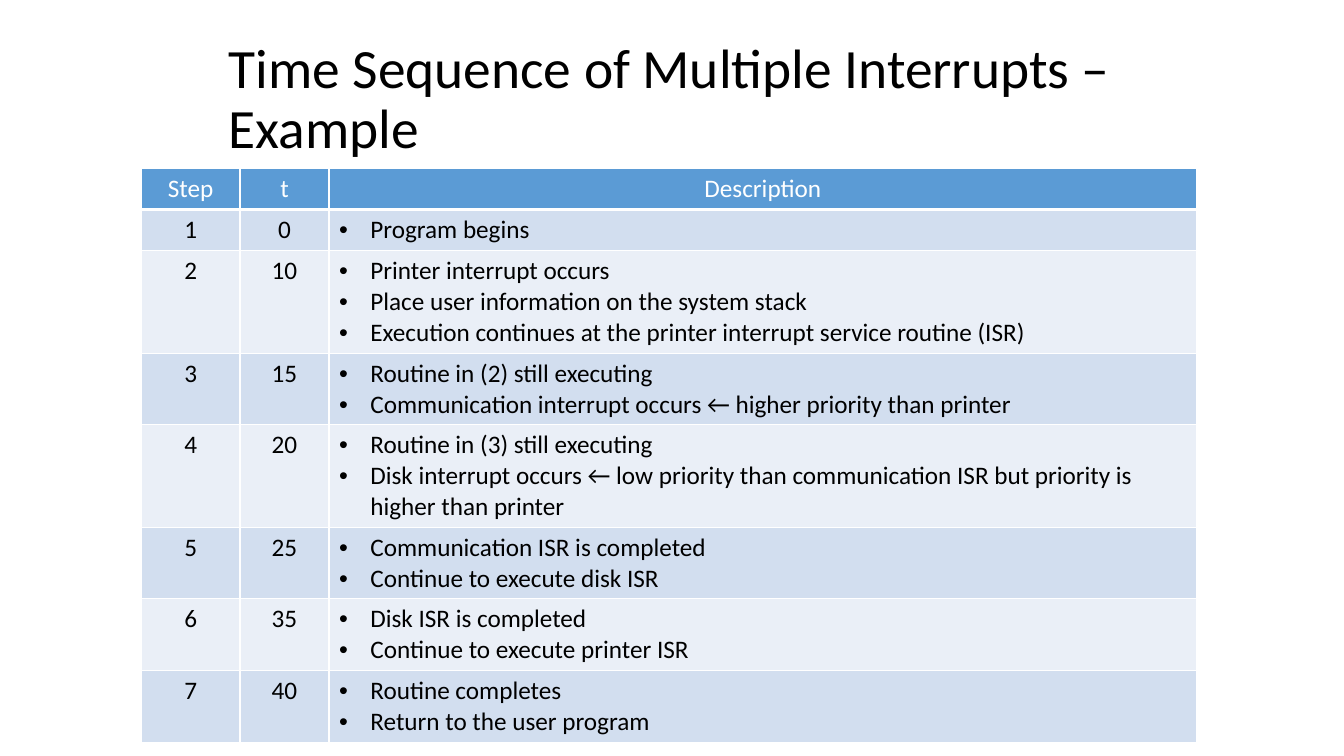
from lxml import etree
from pptx import Presentation
from pptx.dml.color import RGBColor
from pptx.enum.text import MSO_ANCHOR, MSO_AUTO_SIZE, PP_ALIGN
from pptx.oxml.ns import qn
from pptx.util import Cm, Pt

CENTER, LEFT = PP_ALIGN.CENTER, PP_ALIGN.LEFT
MIDDLE = MSO_ANCHOR.MIDDLE
NO_AUTOFIT = MSO_AUTO_SIZE.NONE
TITLE_ONLY = 5

BLACK = RGBColor(0x00, 0x00, 0x00)
WHITE = RGBColor(0xFF, 0xFF, 0xFF)
HEADER_BLUE = RGBColor(0x5B, 0x9B, 0xD5)
BAND_DARK = RGBColor(0xD2, 0xDE, 0xEF)
BAND_LIGHT = RGBColor(0xEA, 0xEF, 0xF7)

TITLE_FONT = {"name": "Calibri", "size": Pt(39.6), "bold": False}
TABLE_FONT = {"name": "Calibri", "size": Pt(18), "bold": False}

TITLE = "Time Sequence of Multiple Interrupts – Example"
HEADERS = ["Step", "t", "Description"]
COLUMN_WIDTHS = [2.49, 2.24, 21.87]
ROW_HEIGHT = 1.04
BULLET_INDENT = 0.79

# Time and events of each step
STEPS = [
    (0, ["Program begins"]),
    (10, ["Printer interrupt occurs",
          "Place user information on the system stack",
          "Execution continues at the printer interrupt service routine (ISR)"]),
    (15, ["Routine in (2) still executing",
          "Communication interrupt occurs ← higher priority than printer"]),
    (20, ["Routine in (3) still executing",
          "Disk interrupt occurs ← low priority than communication ISR "
          "but priority is higher than printer"]),
    (25, ["Communication ISR is completed", "Continue to execute disk ISR"]),
    (35, ["Disk ISR is completed", "Continue to execute printer ISR"]),
    (40, ["Routine completes", "Return to the user program"]),
]


def format_font(font, values, color):
    for name, value in values.items():
        setattr(font, name, value)
    font.color.rgb = color


def add_bullet(paragraph):
    properties = paragraph._p.get_or_add_pPr()
    properties.set("marL", str(Cm(BULLET_INDENT)))
    properties.set("indent", str(-Cm(BULLET_INDENT)))
    etree.SubElement(properties, qn("a:buFont")).set("typeface", "Arial")
    etree.SubElement(properties, qn("a:buChar")).set("char", "•")


def add_borders(cell, bottom_width):
    properties = cell._tc.get_or_add_tcPr()
    for side, width in (("L", 1), ("R", 1), ("T", 1), ("B", bottom_width)):
        line = etree.SubElement(properties, qn("a:ln" + side), w=str(Pt(width)))
        fill = etree.SubElement(line, qn("a:solidFill"))
        etree.SubElement(fill, qn("a:srgbClr")).set("val", str(WHITE))


def fill_cell(cell, lines, fill, color, bulleted=False, bottom_width=1):
    add_borders(cell, bottom_width)
    cell.fill.solid()
    cell.fill.fore_color.rgb = fill
    cell.text = "\n".join(lines)
    for paragraph in cell.text_frame.paragraphs:
        if bulleted:
            add_bullet(paragraph)
        paragraph.alignment = LEFT if bulleted else CENTER
        for run in paragraph.runs:
            format_font(run.font, TABLE_FONT, color)


def place_title(slide, left, top, width, height):
    title = slide.shapes.title
    title.left, title.top = Cm(left), Cm(top)
    title.width, title.height = Cm(width), Cm(height)
    frame = title.text_frame
    frame.text = TITLE
    frame.word_wrap = True
    frame.auto_size = NO_AUTOFIT
    frame.vertical_anchor = MIDDLE
    paragraph = frame.paragraphs[0]
    paragraph.alignment = LEFT
    paragraph.line_spacing = 0.9
    format_font(paragraph.runs[0].font, TITLE_FONT, BLACK)


def add_step_table(slide, left, top):
    row_count = len(STEPS) + 1
    table = slide.shapes.add_table(
        row_count, len(HEADERS), Cm(left), Cm(top),
        Cm(sum(COLUMN_WIDTHS)), Cm(ROW_HEIGHT * row_count)).table
    for column, width in zip(table.columns, COLUMN_WIDTHS):
        column.width = Cm(width)
    for row in table.rows:
        row.height = Cm(ROW_HEIGHT)

    # Header row
    for index, header in enumerate(HEADERS):
        fill_cell(table.cell(0, index), [header], HEADER_BLUE, WHITE,
                  bottom_width=3)

    # One banded row for each step
    for step, (time, events) in enumerate(STEPS, start=1):
        band = BAND_DARK if step % 2 else BAND_LIGHT
        fill_cell(table.cell(step, 0), [str(step)], band, BLACK)
        fill_cell(table.cell(step, 1), [str(time)], band, BLACK)
        fill_cell(table.cell(step, 2), events, band, BLACK, bulleted=True)


def main():
    presentation = Presentation()
    presentation.slide_width = Cm(33.87)
    presentation.slide_height = Cm(19.05)
    slide = presentation.slides.add_slide(presentation.slide_layouts[TITLE_ONLY])
    place_title(slide, 5.51, 1.27, 22.86, 2.54)
    add_step_table(slide, 3.56, 4.24)
    presentation.save("out.pptx")


if __name__ == "__main__":
    main()
